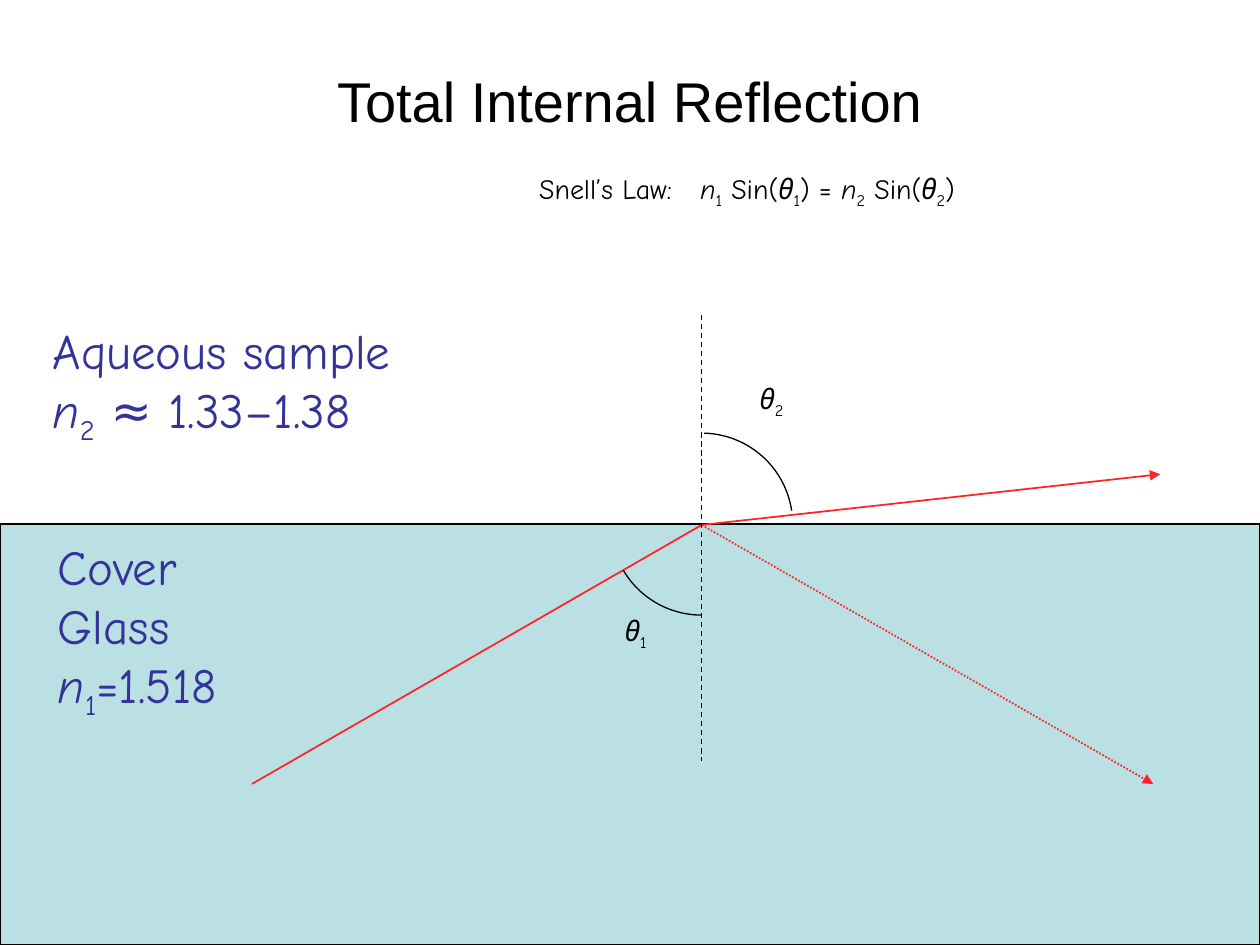
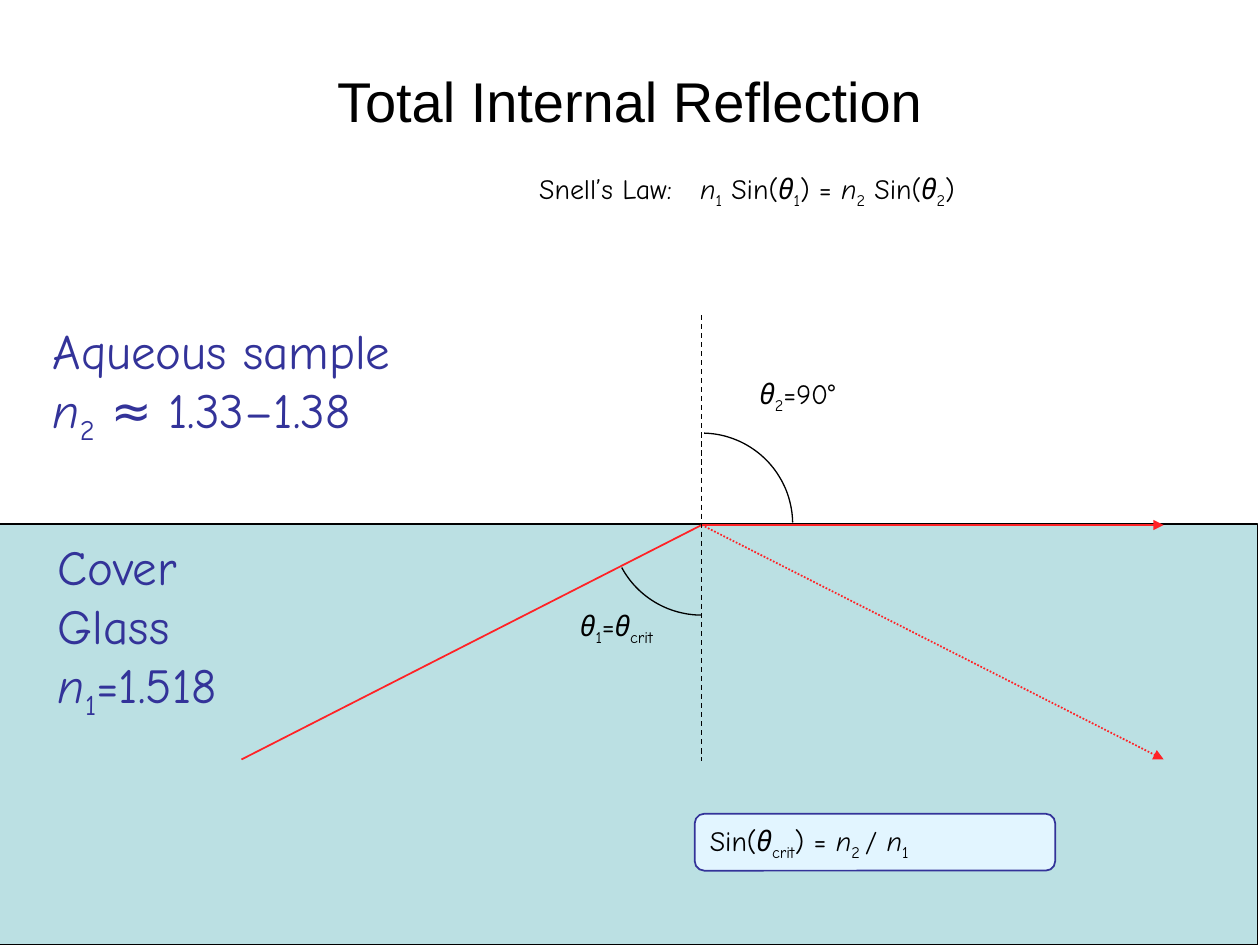
import math

import pptx
import pptx.dml.color
import pptx.enum.dml
import pptx.enum.shapes
import pptx.enum.text
import pptx.oxml.ns
import pptx.util
from lxml import etree

Pt = pptx.util.Pt
qn = pptx.oxml.ns.qn
SHAPE = pptx.enum.shapes.MSO_SHAPE
DASH = pptx.enum.dml.MSO_LINE
ANCHOR = pptx.enum.text.MSO_ANCHOR

BLACK, RED, INDIGO = "000000", "FF2226", "333399"
GLASS, PALE = "BBE0E3", "E2F5FF"
HIT_X, HIT_Y = 401, 300          # where the ray meets the glass
ARC_Y, RADIUS = 299.5, 52        # angle marks
GLASS_TOP = 299.5


def rgb(code):
    return pptx.dml.color.RGBColor.from_string(code)


def write(tf, lines, size, color):
    """Pieces are split by |; ~ starts an italic piece, _ a subscript."""
    tf.word_wrap = True
    for i, line in enumerate(lines):
        p = tf.paragraphs[0] if i == 0 else tf.add_paragraph()
        p.alignment = pptx.enum.text.PP_ALIGN.LEFT
        if "\t" in line:
            tabs = etree.SubElement(p._p.get_or_add_pPr(), qn("a:tabLst"))
            etree.SubElement(tabs, qn("a:tab"), pos=str(Pt(92)), algn="l")
        for piece in line.split("|"):
            r = p.add_run()
            r.text = piece.lstrip("~_")
            style = {"name": "Comic Neue", "size": Pt(size), "italic": piece.startswith("~")}
            for key, value in style.items():
                setattr(r.font, key, value)
            r.font.color.rgb = rgb(color)
            if piece.startswith("_"):
                r._r.get_or_add_rPr().set("baseline", "-25000")


# What differs between the slides
cases = [
    {"glass_x": 0, "source": (144, 448), "refracted": (663, 271), "reflected": (659, 448),
     "arcs": [(1.5, 81.5), (180, 239.5)],
     "labels": [("~θ|_1", 350, 347, 33, 36), ("~θ|_2", 427, 214.5, 36, 36)]},
    {"glass_x": -1.5, "source": (138, 434), "refracted": (665, 300), "reflected": (665, 434),
     "arcs": [(1.5, 89), (180, 241.5)],
     "labels": [("~θ|_1|=|~θ|_crit", 324.5, 344, 83.5, 37.5),
                ("~θ|_2|=90°", 427, 211.5, 85, 37.5)],
     "formula": "Sin(|~θ|_crit|) = |~n|_2 |/ |~n|_1"},
]

# Text boxes on both slides: lines, size, colour, left, top, width, height
common = [
    (["Snell’s Law:\t|~n|_1| Sin(|~θ|_1|) = |~n|_2| Sin(|~θ|_2|)"],
     16, BLACK, 301, 94.5, 400, 37.5),
    (["Aqueous sample", "~n|_2| ≈ 1.33–1.38"], 28, INDIGO, 23, 179.5, 214.5, 78),
    (["Cover", "Glass", "~n|_1|=1.518"], 28, INDIGO, 26, 303, 110, 113),
]

prs = pptx.Presentation()
prs.slide_width, prs.slide_height = Pt(720), Pt(540)

for case in cases:
    s = prs.slides.add_slide(prs.slide_layouts[5])

    # Title
    title = s.shapes.title
    box = {"left": Pt(54), "top": Pt(12), "width": Pt(612), "height": Pt(90)}
    for key, value in box.items():
        setattr(title, key, value)
    tf = title.text_frame
    tf.text = "Total Internal Reflection"
    tf.vertical_anchor = ANCHOR.MIDDLE
    for key, value in {"name": "Arial", "size": Pt(32)}.items():
        setattr(tf.paragraphs[0].runs[0].font, key, value)
    tf.paragraphs[0].runs[0].font.color.rgb = rgb(BLACK)

    # Cover glass
    glass = s.shapes.add_shape(SHAPE.RECTANGLE, Pt(case["glass_x"]), Pt(GLASS_TOP),
                               Pt(720), Pt(540 - GLASS_TOP))
    outlined = [(glass, GLASS, BLACK, 0.75, False)]

    # Incident and refracted ray
    route = [(Pt(x), Pt(y)) for x, y in (case["source"], (HIT_X, HIT_Y), case["refracted"])]
    fb = s.shapes.build_freeform(*route[0])
    fb.add_line_segments(route[1:], close=False)
    outlined.append((fb.convert_to_shape(), None, RED, 1, True))

    # Reflected ray and surface normal
    for start, end, color, width, dash, arrow in [
        ((HIT_X, HIT_Y), case["reflected"], RED, 1, DASH.ROUND_DOT, True),
        ((HIT_X, 180), (HIT_X, 435), BLACK, 0.75, DASH.DASH, False),
    ]:
        line = s.shapes.add_connector(pptx.enum.shapes.MSO_CONNECTOR.STRAIGHT,
                                      *map(Pt, start + end))
        line.line.color.rgb = rgb(color)
        for key, value in {"width": Pt(width), "dash_style": dash}.items():
            setattr(line.line, key, value)
        if arrow:
            etree.SubElement(line.line._get_or_add_ln(), qn("a:tailEnd"), type="triangle")
        etree.SubElement(line._element.spPr, qn("a:effectLst"))

    # Angle marks, in degrees clockwise from the upward normal
    for first, last in case["arcs"]:
        angles = [math.radians(first + (last - first) * i / 40) for i in range(41)]
        points = [(Pt(HIT_X + RADIUS * math.sin(a)), Pt(ARC_Y - RADIUS * math.cos(a)))
                  for a in angles]
        fb = s.shapes.build_freeform(*points[0])
        fb.add_line_segments(points[1:], close=False)
        outlined.append((fb.convert_to_shape(), None, BLACK, 0.75, False))

    # Critical angle formula
    if "formula" in case:
        sp = s.shapes.add_shape(SHAPE.ROUNDED_RECTANGLE, Pt(397), Pt(465), Pt(206), Pt(32.5))
        sp.text_frame.vertical_anchor = ANCHOR.MIDDLE
        write(sp.text_frame, [case["formula"]], 16, BLACK)
        outlined.append((sp, PALE, INDIGO, 1, False))

    # Fills and outlines
    for sp, fill, color, width, arrow in outlined:
        sp.shadow.inherit = False
        if fill:
            sp.fill.solid()
            sp.fill.fore_color.rgb = rgb(fill)
        else:
            sp.fill.background()
        sp.line.color.rgb = rgb(color)
        sp.line.width = Pt(width)
        if arrow:
            etree.SubElement(sp.line._get_or_add_ln(), qn("a:tailEnd"), type="triangle")

    # Labels
    labels = [([text], 16, BLACK, *place) for text, *place in case["labels"]]
    for lines, size, color, *place in common + labels:
        tb = s.shapes.add_textbox(*map(Pt, place))
        write(tb.text_frame, lines, size, color)

prs.save("out.pptx")
